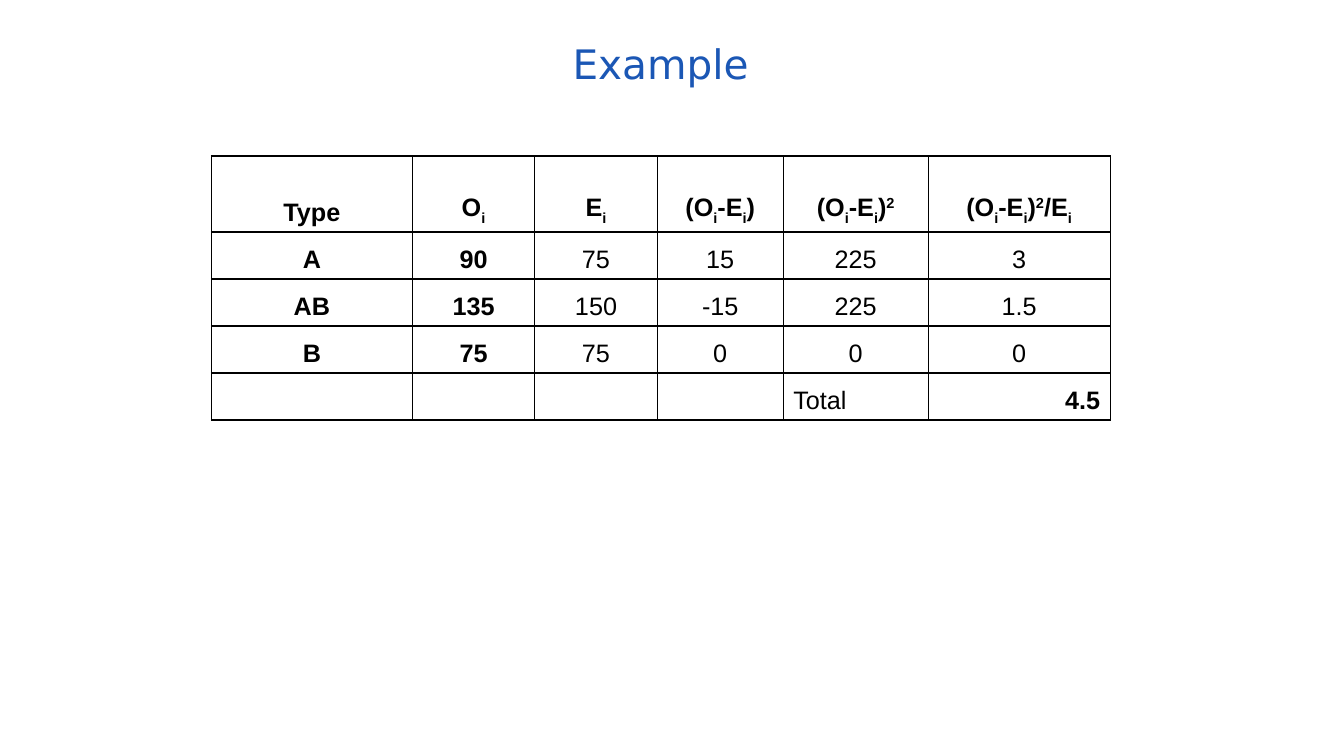
"""Build a slide with a worked chi-square table."""
from itertools import groupby
from pptx import Presentation
from pptx.dml.color import RGBColor
from pptx.enum.text import MSO_ANCHOR as Anchor, PP_ALIGN as Align
from pptx.oxml import parse_xml
from pptx.oxml.ns import nsdecls
from pptx.util import Pt


def paint(code):
    return RGBColor.from_string(code)


def style(para, size, face, code, bold, align):
    para.alignment = align
    para.font.size = Pt(size)
    para.font.name = face
    para.font.bold = bold
    para.font.color.rgb = paint(code)


deck = Presentation()
deck.slide_width, deck.slide_height = Pt(960), Pt(540)
slide = deck.slides.add_slide(deck.slide_layouts[5])

title = slide.shapes.title
title.left, title.top, title.width, title.height = Pt(40), Pt(18), Pt(864), Pt(54)
frame = title.text_frame
frame.text = "Example"
frame.vertical_anchor = Anchor.MIDDLE
frame.margin_left = frame.margin_right = Pt(8)
frame.margin_top = frame.margin_bottom = Pt(4)
style(frame.paragraphs[0], 29, "DejaVu Sans", "1B57B5", False, Align.CENTER)

rows = [
    ["Type", "Oi", "Ei", "(Oi-Ei)", "(Oi-Ei)2", "(Oi-Ei)2/Ei"],
    ["A", "90", "75", "15", "225", "3"],
    ["AB", "135", "150", "-15", "225", "1.5"],
    ["B", "75", "75", "0", "0", "0"],
    ["", "", "", "", "Total", "4.5"],
]
widths = [143.5, 87.5, 87.5, 90, 103.5, 130]
heights = [54.2] + [33.6] * 4
shifts = {"i": "-30000", "2": "30000"}

grid = slide.shapes.add_table(
    len(rows), len(widths), Pt(151), Pt(111.5), Pt(sum(widths)), Pt(sum(heights))).table
grid.first_row = grid.horz_banding = False
for col, width in zip(grid.columns, widths):
    col.width = Pt(width)
for row, height in zip(grid.rows, heights):
    row.height = Pt(height)

last = len(rows) - 1
for r, row in enumerate(rows):
    for c, text in enumerate(row):
        cell = grid.cell(r, c)
        cell.vertical_anchor = Anchor.BOTTOM
        para = cell.text_frame.paragraphs[0]
        align = Align.CENTER
        if r == last:
            align = Align.RIGHT if text == "4.5" else Align.LEFT
        bold = r == 0 or c < 2 or text == "4.5"
        style(para, 18, "Arial", "000000", bold, align)
        props = para._p.get_or_add_pPr()
        props.set("marL", str(Pt(27)))
        props.set("indent", str(Pt(-27)))
        if r == 0:
            for shift, chars in groupby(text, shifts.get):
                run = para.add_run()
                run.text = "".join(chars)
                if shift:
                    run.font._element.set("baseline", shift)
        elif text:
            para.add_run().text = text
        edges = cell._tc.get_or_add_tcPr()
        for side in ("lnL", "lnR", "lnT", "lnB"):
            edges.append(parse_xml(
                f'<a:{side} {nsdecls("a")} w="{Pt(1)}"><a:solidFill>'
                f'<a:srgbClr val="000000"/></a:solidFill></a:{side}>'))
        cell.fill.solid()
        cell.fill.fore_color.rgb = paint("FFFFFF")

deck.save("out.pptx")
